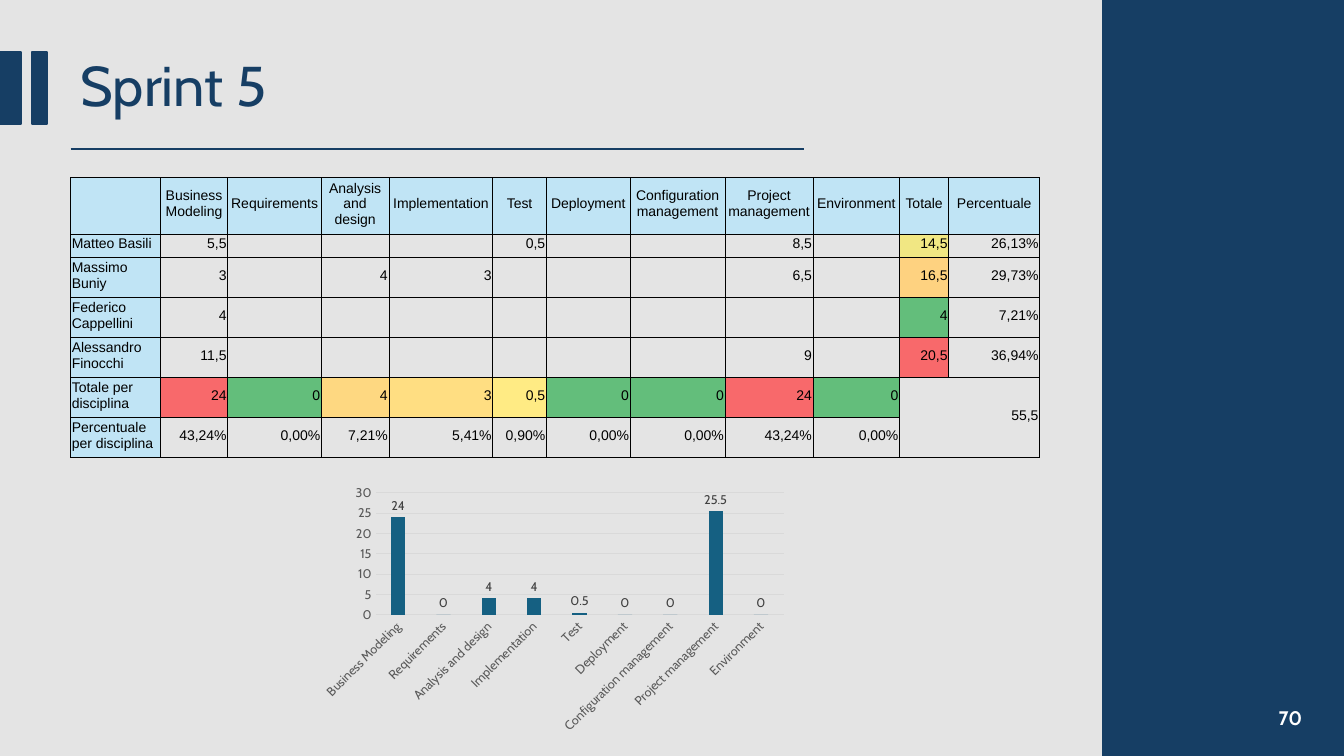
from dataclasses import dataclass

from lxml.etree import SubElement
from pptx import Presentation
from pptx.chart.data import CategoryChartData
from pptx.dml.color import RGBColor
from pptx.enum.chart import XL_CHART_TYPE, XL_LABEL_POSITION, XL_TICK_MARK
from pptx.enum.shapes import MSO_CONNECTOR, MSO_SHAPE
from pptx.enum.text import MSO_ANCHOR, PP_ALIGN
from pptx.oxml import parse_xml
from pptx.oxml.ns import nsdecls, qn
from pptx.util import Cm, Pt


@dataclass(frozen=True)
class Theme:
    background: str = "E4E4E4"
    navy: str = "163E64"
    white: str = "FFFFFF"
    black: str = "000000"
    header: str = "C0E4F5"
    bar: str = "156082"
    grid: str = "D9D9D9"
    axis_text: str = "595959"
    label_text: str = "404040"
    heading_font: str = "Cabin"
    table_font: str = "Arial"
    title_size: int = 40
    number_size: int = 14
    table_size: int = 10
    chart_size: int = 9
    line_width: float = 1.5
    grid_width: float = 0.75


theme = Theme()


def style_font(font, name, size, color, bold=False):
    font.name, font.size, font.bold = name, Pt(size), bold
    font.color.rgb = RGBColor.from_string(color)


def add_text(text, left, top, width, height, size, color, align, bold=False):
    tf = s.shapes.add_textbox(Cm(left), Cm(top), Cm(width), Cm(height)).text_frame
    tf.word_wrap = True
    tf.vertical_anchor = MSO_ANCHOR.MIDDLE
    tf.text = text
    p = tf.paragraphs[0]
    p.alignment = align
    p.line_spacing = 0.9
    style_font(p.runs[0].font, theme.heading_font, size, color, bold)


prs = Presentation()
prs.slide_width, prs.slide_height = Cm(33.87), Cm(19.05)
s = prs.slides.add_slide(prs.slide_layouts[6])
s.background.fill.solid()
s.background.fill.fore_color.rgb = RGBColor.from_string(theme.background)
navy = RGBColor.from_string(theme.navy)

# Title, accent bars and side panel
add_text("Sprint 5", 1.78, 1.32, 21.39, 1.8, theme.title_size, theme.navy, PP_ALIGN.LEFT)
for left, top, width, height in [
    (0, 1.32, 0.53, 1.8),
    (0.81, 1.32, 0.38, 1.8),
    (27.81, 0, 6.06, 19.05),
]:
    sp = s.shapes.add_shape(MSO_SHAPE.RECTANGLE, Cm(left), Cm(top), Cm(width), Cm(height))
    sp.shadow.inherit = False
    sp.fill.solid()
    sp.fill.fore_color.rgb = navy
    sp.line.color.rgb = navy
    sp.line.width = Pt(theme.line_width)

rule = s.shapes.add_connector(MSO_CONNECTOR.STRAIGHT, Cm(1.78), Cm(3.76), Cm(20.27), Cm(3.76))
rule.line.color.rgb = navy
rule.line.width = Pt(theme.line_width)
SubElement(rule._element.spPr, qn("a:effectLst"))

add_text("70", 25.45, 17.6, 7.62, 1.02, theme.number_size, theme.white, PP_ALIGN.RIGHT, True)

# Hours per person and discipline
disciplines = ["Business Modeling", "Requirements", "Analysis and design", "Implementation", "Test",
               "Deployment", "Configuration management", "Project management", "Environment"]
rows = [
    ["", *disciplines, "Totale", "Percentuale"],
    ["Matteo Basili", "5,5", "", "", "", "0,5", "", "", "8,5", "", "14,5", "26,13%"],
    ["Massimo Buniy", "3", "", "4", "3", "", "", "", "6,5", "", "16,5", "29,73%"],
    ["Federico Cappellini", "4", "", "", "", "", "", "", "", "", "4", "7,21%"],
    ["Alessandro Finocchi", "11,5", "", "", "", "", "", "", "9", "", "20,5", "36,94%"],
    ["Totale per disciplina", "24", "0", "4", "3", "0,5", "0", "0", "24", "0", "55,5", ""],
    ["Percentuale per disciplina", "43,24%", "0,00%", "7,21%", "5,41%", "0,90%",
     "0,00%", "0,00%", "43,24%", "0,00%", "", ""],
]
column_widths = [2.26, 1.7, 2.36, 1.7, 2.62, 1.35, 2.11, 2.39, 2.22, 2.18, 1.24, 2.29]
row_heights = [1.32, 0.51, 0.86, 0.99, 0.86, 0.86, 0.86]
person_heat = ["F1E783", "FED280", "63BE7B", "F8696B"]
discipline_heat = ["F8696B", "63BE7B", "FED881", "FFDE82", "FFEB84",
                   "63BE7B", "63BE7B", "F8696B", "63BE7B"]
fills = {(r, 10): color for r, color in enumerate(person_heat, 1)}
fills |= {(5, c): color for c, color in enumerate(discipline_heat, 1)}

frame = s.shapes.add_table(len(rows), len(column_widths), Cm(1.78), Cm(4.47),
                           Cm(sum(column_widths)), Cm(sum(row_heights)))
table = frame.table
table.first_row = table.horz_banding = False
for column, width in zip(table.columns, column_widths):
    column.width = Cm(width)
for row, height in zip(table.rows, row_heights):
    row.height = Cm(height)
table.cell(5, 10).merge(table.cell(6, 11))

for r, values in enumerate(rows):
    for c, value in enumerate(values):
        cell = table.cell(r, c)
        cell.margin_left = cell.margin_right = cell.margin_top = Cm(0.03)
        cell.margin_bottom = Cm(0.13)
        cell.vertical_anchor = MSO_ANCHOR.MIDDLE
        for side in ("lnL", "lnR", "lnT", "lnB"):
            cell._tc.get_or_add_tcPr().append(parse_xml(
                f'<a:{side} {nsdecls("a")} w="6350"><a:solidFill>'
                f'<a:srgbClr val="{theme.black}"/></a:solidFill></a:{side}>'))
        color = theme.header if r == 0 or c == 0 else fills.get((r, c))
        if color:
            cell.fill.solid()
            cell.fill.fore_color.rgb = RGBColor.from_string(color)
        else:
            cell.fill.background()
        p = cell.text_frame.paragraphs[0]
        if value:
            p.text = value
            style_font(p.runs[0].font, theme.table_font, theme.table_size, theme.black)
        else:
            SubElement(p._p, qn("a:endParaRPr"), sz=str(theme.table_size * 100))
        p.alignment = PP_ALIGN.CENTER if r == 0 else PP_ALIGN.LEFT if c == 0 else PP_ALIGN.RIGHT

# Hours per discipline
data = CategoryChartData()
data.categories = disciplines
data.add_series("Series 1", [24, 0, 4, 4, 0.5, 0, 0, 25.5, 0])
chart = s.shapes.add_chart(XL_CHART_TYPE.COLUMN_CLUSTERED, Cm(7.92), Cm(12.09),
                           Cm(12.09), Cm(6.53), data).chart
chart.has_legend = chart.has_title = False
style_font(chart.font, theme.heading_font, theme.table_size, theme.black)

plot = chart.plots[0]
plot.gap_width, plot.overlap = 219, -27
plot.vary_by_categories = False
bars = plot.series[0]
bars.format.fill.solid()
bars.format.fill.fore_color.rgb = RGBColor.from_string(theme.bar)
bars.invert_if_negative = False
labels = bars.data_labels
labels.show_value = True
labels.position = XL_LABEL_POSITION.OUTSIDE_END
style_font(labels.font, theme.heading_font, theme.chart_size, theme.label_text)

hours = chart.value_axis
hours.minimum_scale, hours.maximum_scale, hours.major_unit = 0, 30, 5
for axis in (chart.category_axis, hours):
    axis.major_tick_mark = axis.minor_tick_mark = XL_TICK_MARK.NONE
    style_font(axis.tick_labels.font, theme.heading_font, theme.chart_size, theme.axis_text)
hours.format.line.fill.background()
for line in (chart.category_axis.format.line, hours.major_gridlines.format.line):
    line.color.rgb = RGBColor.from_string(theme.grid)
    line.width = Pt(theme.grid_width)

prs.save("out.pptx")
